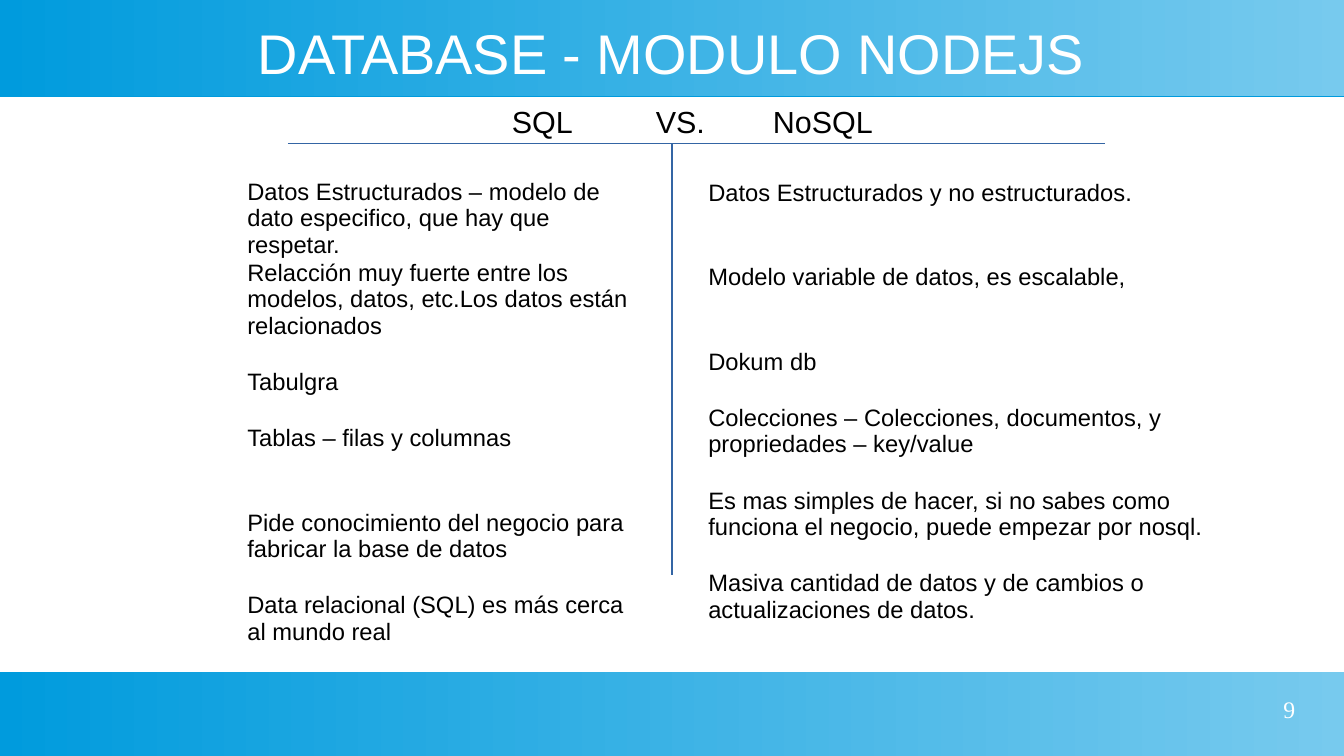
from dataclasses import dataclass

from lxml.etree import SubElement
from pptx import Presentation
from pptx.dml.color import RGBColor as RGB
from pptx.enum.shapes import MSO_CONNECTOR as Link, MSO_SHAPE as Form
from pptx.enum.text import MSO_ANCHOR as Anchor, PP_ALIGN as Align
from pptx.oxml.ns import qn
from pptx.util import Inches, Pt


@dataclass
class Theme:
    deep: str = "009BDD"
    pale: str = "77CAEE"
    rule: str = "3465A4"
    white: str = "FFFFFF"
    black: str = "000000"
    sans: str = "Arial"
    serif: str = "Times New Roman"
    big: int = 33
    head: int = 18
    body: int = 14
    thin: float = 0.75
    lead: float = 0.93
    gap: float = 0.5
    skip: float = 16.6


class Page:
    def __init__(self, deck, theme):
        self.deck = deck
        self.theme = theme
        self.slide = deck.slides.add_slide(deck.slide_layouts[6])

    def across(self, share):
        return round(self.deck.slide_width * share / 100)

    def down(self, share):
        return round(self.deck.slide_height * share / 100)

    def area(self, left, top, width, height):
        return self.across(left), self.down(top), self.across(width), self.down(height)

    def band(self, top, height):
        bar = self.slide.shapes.add_shape(Form.RECTANGLE, *self.area(0, top, 100, height))
        bar.line.fill.background()
        bar.fill.gradient()
        bar.fill.gradient_angle = 0
        for stop, tone in zip(bar.fill.gradient_stops, (self.theme.deep, self.theme.pale)):
            stop.color.rgb = RGB.from_string(tone)
        bar.shadow.inherit = False
        glow = bar._element.spPr.find(qn("a:effectLst"))
        cast = SubElement(glow, qn("a:outerShdw"), dist=str(Pt(0.9)), dir="5400000",
                          algn="ctr", rotWithShape="0")
        SubElement(cast, qn("a:srgbClr"), val=self.theme.deep)

    def line(self, left, top, right, base):
        rule = self.slide.shapes.add_connector(
            Link.STRAIGHT, self.across(left), self.down(top),
            self.across(right), self.down(base))
        rule.line.color.rgb = RGB.from_string(self.theme.rule)
        rule.line.width = Pt(self.theme.thin)
        SubElement(rule._element.spPr, qn("a:effectLst"))

    def text(self, spot, items, size, tone, face=None, align=Align.LEFT,
             anchor=Anchor.TOP, inset=(0.1, 0.05), wrap=True, tabs=()):
        theme = self.theme
        frame = self.slide.shapes.add_textbox(*self.area(*spot)).text_frame
        frame.word_wrap = wrap
        frame.vertical_anchor = anchor
        frame.margin_left = frame.margin_right = Inches(inset[0])
        frame.margin_top = frame.margin_bottom = Inches(inset[1])
        for place, (skips, words) in enumerate(items):
            para = frame.add_paragraph() if place else frame.paragraphs[0]
            para.text = words
            para.alignment = align
            para.line_spacing = theme.lead
            para.space_before = Pt(theme.gap + skips * theme.skip)
            para.space_after = Pt(theme.gap)
            if tabs:
                stops = SubElement(para._p.get_or_add_pPr(), qn("a:tabLst"))
                for stop in tabs:
                    SubElement(stops, qn("a:tab"), pos=str(Inches(stop)), algn="l")
            font = para.font
            font.name = face or theme.sans
            font.size = Pt(size)
            font.color.rgb = RGB.from_string(tone)


SQL = [
    (0, "Datos Estructurados – modelo de dato especifico, que hay que respetar."),
    (0, "Relacción muy fuerte entre los modelos, datos, etc.Los datos están relacionados"),
    (1, "Tabulgra"),
    (1, "Tablas – filas y columnas"),
    (2, "Pide conocimiento del negocio para fabricar la base de datos"),
    (1, "Data relacional (SQL) es más cerca al mundo real"),
]
NOSQL = [
    (0, "Datos Estructurados y no estructurados."),
    (2, "Modelo variable de datos, es escalable,"),
    (2, "Dokum db"),
    (1, "Colecciones – Colecciones, documentos, y propriedades – key/value"),
    (1, "Es mas simples de hacer, si no sabes como funciona el negocio, "
        "puede empezar por nosql."),
    (1, "Masiva cantidad de datos y de cambios o actualizaciones de datos."),
]


def main():
    deck = Presentation()
    deck.slide_width, deck.slide_height = Inches(11.02), Inches(6.2)
    theme = Theme()
    page = Page(deck, theme)

    page.band(0, 12.7)
    page.band(88.87, 11.13)
    page.text((3.54, 3.23, 92.83, 8.39), [(0, "DATABASE - MODULO NODEJS")], theme.big,
              theme.white, align=Align.CENTER, anchor=Anchor.MIDDLE, inset=(0, 0))
    page.text((37.2, 13.23, 28.86, 6.13), [(0, "SQL\tVS.\tNoSQL")], theme.head,
              theme.black, wrap=False, tabs=(1.18, 2.14))
    page.line(21.42, 19.03, 82.21, 19.03)
    page.line(50, 19.03, 50, 76.13)
    for spot, items in (((17.51, 22.9, 30.4, 62.58), SQL),
                        ((51.81, 23.06, 39.29, 59.52), NOSQL)):
        page.text(spot, items, theme.body, theme.black)
    page.text((73.23, 92.3, 23.14, 6.29), [(0, "9")], theme.body, theme.white,
              face=theme.serif, align=Align.RIGHT, inset=(0, 0))

    deck.save("out.pptx")


if __name__ == "__main__":
    main()
